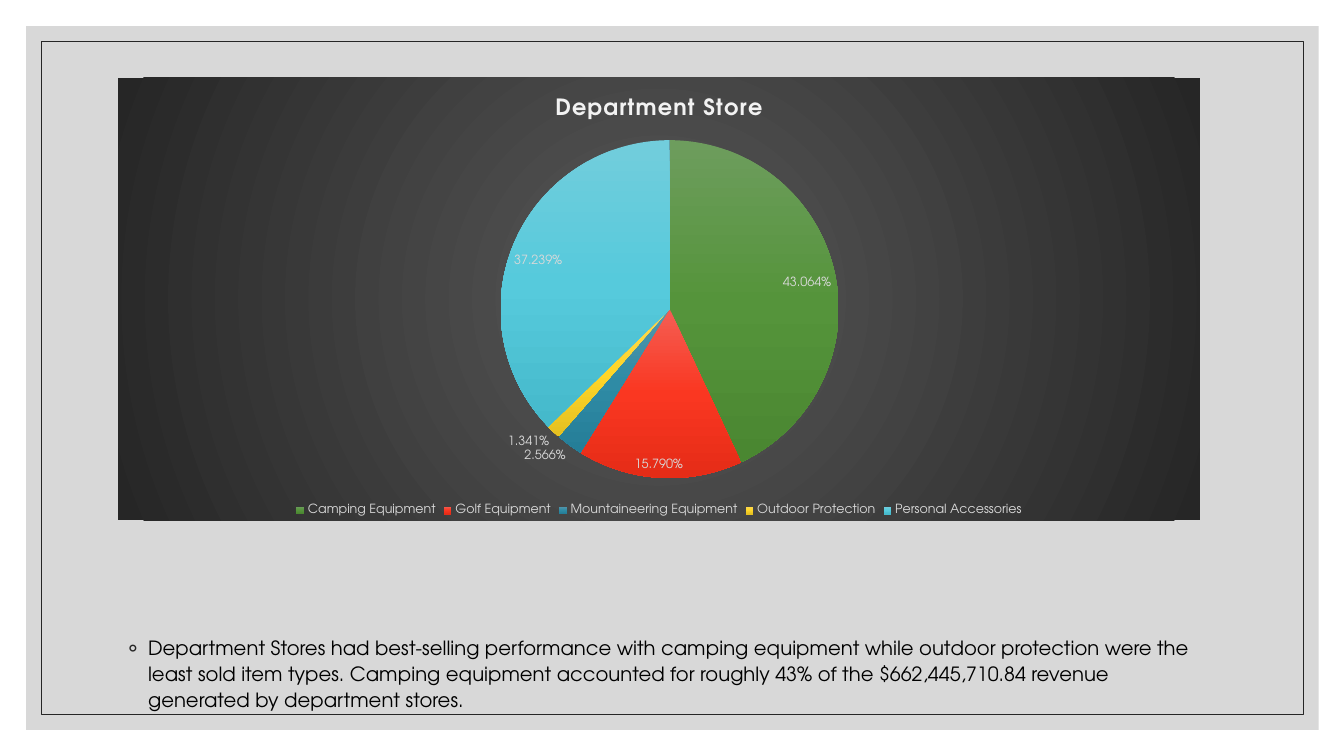
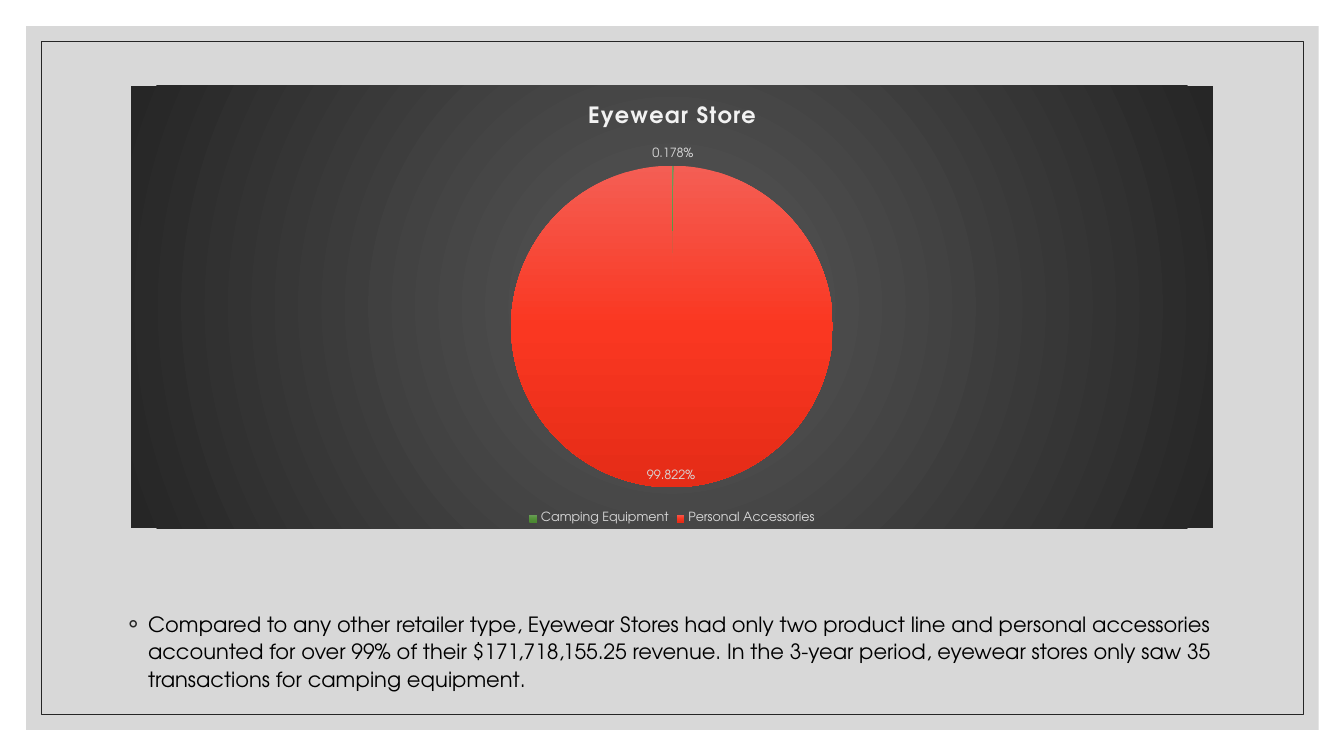
"""Two slides of pie charts showing sales by store type."""
from dataclasses import dataclass

from pptx import Presentation, oxml, util as u
from pptx.chart.data import CategoryChartData
from pptx.dml.color import RGBColor
from pptx.enum import chart as kinds, shapes, text
from pptx.oxml import ns


@dataclass(frozen=True)
class Theme:
    font: str = "TeX Gyre Adventor"
    panel: str = "BFBFBF"
    alpha: int = 60
    edge: str = "262626"
    glow: str = "595959"
    ink: str = "000000"
    pale: str = "D9D9D9"
    title: str = "F2F2F2"
    head: int = 16
    base: int = 10
    small: int = 9
    slices: tuple = (
        ("6D9D5D", "55943B", "4A8731"),
        ("F45E54", "FA3721", "E52C17"),
        ("5796AC", "2F8BA5", "257E98"),
        ("FBD856", "FFD628", "E5C021"),
        ("72CDDC", "56CADC", "45B9CB"),
    )


LINEAR = '<a:lin ang="5400000" scaled="0"/>'
RADIAL = ('<a:path path="circle"><a:fillToRect l="50000" t="50000" '
          'r="50000" b="50000"/></a:path>')


def blend(hues, mode):
    step = 100000 // (len(hues) - 1)
    stops = "".join(f'<a:gs pos="{i * step}"><a:srgbClr val="{hue}"/></a:gs>'
                    for i, hue in enumerate(hues))
    return (f'<a:gradFill {ns.nsdecls("a")} rotWithShape="1">'
            f'<a:gsLst>{stops}</a:gsLst>{mode}</a:gradFill>')


class Deck:
    def __init__(self, theme):
        self.theme = theme
        self.file = Presentation()
        self.file.slide_width = u.Inches(13.33)
        self.file.slide_height = u.Inches(7.5)
        self.slide = None

    def area(self, left, top, wide, high):
        """Turn percentages of the slide into lengths."""
        across, down = self.file.slide_width, self.file.slide_height
        return [int(share * size / 100) for share, size in
                zip((left, top, wide, high), (across, down, across, down))]

    def style(self, font, size, hue, bold=False):
        font.name, font.size, font.bold = self.theme.font, u.Pt(size), bold
        font.color.rgb = RGBColor.from_string(hue)

    def start(self):
        self.slide = self.file.slides.add_slide(self.file.slide_layouts[6])
        panel = self.box(1.95, 3.47, 96.17, 93.07)
        panel.fill.solid()
        panel.fill.fore_color.rgb = RGBColor.from_string(self.theme.panel)
        panel.line.fill.background()
        tint = panel.element.xpath("./p:spPr/a:solidFill/a:srgbClr")[0]
        tint.append(oxml.parse_xml(
            f'<a:alpha {ns.nsdecls("a")} val="{self.theme.alpha * 1000}"/>'))
        frame = self.box(3.08, 5.47, 93.92, 89.07)
        frame.fill.background()
        frame.line.color.rgb = RGBColor.from_string(self.theme.edge)
        frame.line.width = u.Pt(0.5)

    def box(self, *spot):
        shape = self.slide.shapes.add_shape(
            shapes.MSO_SHAPE.RECTANGLE, *self.area(*spot))
        shape.shadow.inherit = False
        return shape

    def pie(self, title, sales, left, top):
        theme = self.theme
        data = CategoryChartData()
        data.categories = list(sales)
        data.add_series("Series 1", list(sales.values()))
        chart = self.slide.shapes.add_chart(
            kinds.XL_CHART_TYPE.PIE, *self.area(left, top, 80.5, 58.53),
            data).chart
        self.style(chart.font, theme.base, theme.ink)
        self.back(chart)
        self.title(chart, title)
        chart.has_legend = True
        chart.legend.position = kinds.XL_LEGEND_POSITION.BOTTOM
        chart.legend.include_in_layout = False
        self.style(chart.legend.font, theme.small, theme.pale)
        plot = chart.plots[0]
        plot.vary_by_categories = True
        self.paint(chart, plot.series[0], len(sales))
        labels = plot.series[0].data_labels
        labels.show_value = False
        labels.show_percentage = True
        labels.number_format = "0.000%"
        labels.number_format_is_linked = False
        labels.position = kinds.XL_LABEL_POSITION.BEST_FIT
        self.style(labels.font, theme.small, theme.pale)

    def back(self, chart):
        fill = blend((self.theme.glow, self.theme.edge), RADIAL)
        chart.element.find(ns.qn("c:chart")).addnext(oxml.parse_xml(
            f'<c:spPr {ns.nsdecls("c", "a")}>{fill}'
            '<a:ln><a:noFill/></a:ln></c:spPr>'))

    def title(self, chart, words):
        chart.has_title = True
        para = chart.chart_title.text_frame.paragraphs[0]
        para.text = words
        self.style(para.runs[0].font, self.theme.head, self.theme.title, True)
        chart.element.xpath(".//c:title//a:rPr")[0].set("spc", "100")

    def paint(self, chart, series, count):
        for i in range(count):
            look = series.points[i].format
            look.fill.gradient()
            look.line.fill.background()
        fills = chart.element.xpath(".//c:dPt/c:spPr/a:gradFill")
        for old, hues in zip(fills, self.theme.slices):
            old.getparent().replace(old, oxml.parse_xml(blend(hues, LINEAR)))

    def note(self, words, size, top, high, inset=0.05):
        frame = self.slide.shapes.add_textbox(
            *self.area(8.78, top, 82.52, high)).text_frame
        frame.word_wrap = True
        frame.vertical_anchor = text.MSO_ANCHOR.TOP
        frame.margin_top = u.Inches(inset)
        para = frame.paragraphs[0]
        para.text = words
        para.line_spacing = 1.1
        self.style(para.runs[0].font, size, self.theme.ink)
        props = para._p.get_or_add_pPr()
        props.set("marL", str(u.Inches(0.2)))
        props.set("indent", str(u.Inches(-0.2)))
        for mark in (f'<a:buClr {ns.nsdecls("a")}><a:srgbClr '
                     f'val="{self.theme.edge}"/></a:buClr>',
                     f'<a:buFont {ns.nsdecls("a")} '
                     f'typeface="{self.theme.font}"/>',
                     f'<a:buChar {ns.nsdecls("a")} char="◦"/>'):
            props.append(oxml.parse_xml(mark))


deck = Deck(Theme())

deck.start()
deck.pie("Department Store", {
    "Camping Equipment": 43.064,
    "Golf Equipment": 15.79,
    "Mountaineering Equipment": 2.566,
    "Outdoor Protection": 1.341,
    "Personal Accessories": 37.239,
}, 8.78, 10.27)
deck.note("Department Stores had best-selling performance with camping "
          "equipment while outdoor protection were the least sold item types. "
          "Camping equipment accounted for roughly 43% of the "
          "$662,445,710.84 revenue generated by department stores.",
          14, 78.13, 13.33, 0.43)

deck.start()
deck.note("Compared to any other retailer type, Eyewear Stores had only two "
          "product line and personal accessories accounted for over 99% of "
          "their $171,718,155.25 revenue. In the 3-year period, eyewear "
          "stores only saw 35 transactions for camping equipment.",
          15, 79.87, 13.87)
deck.pie("Eyewear Store", {
    "Camping Equipment": 0.178,
    "Personal Accessories": 99.822,
}, 9.75, 11.33)

deck.file.save("out.pptx")
